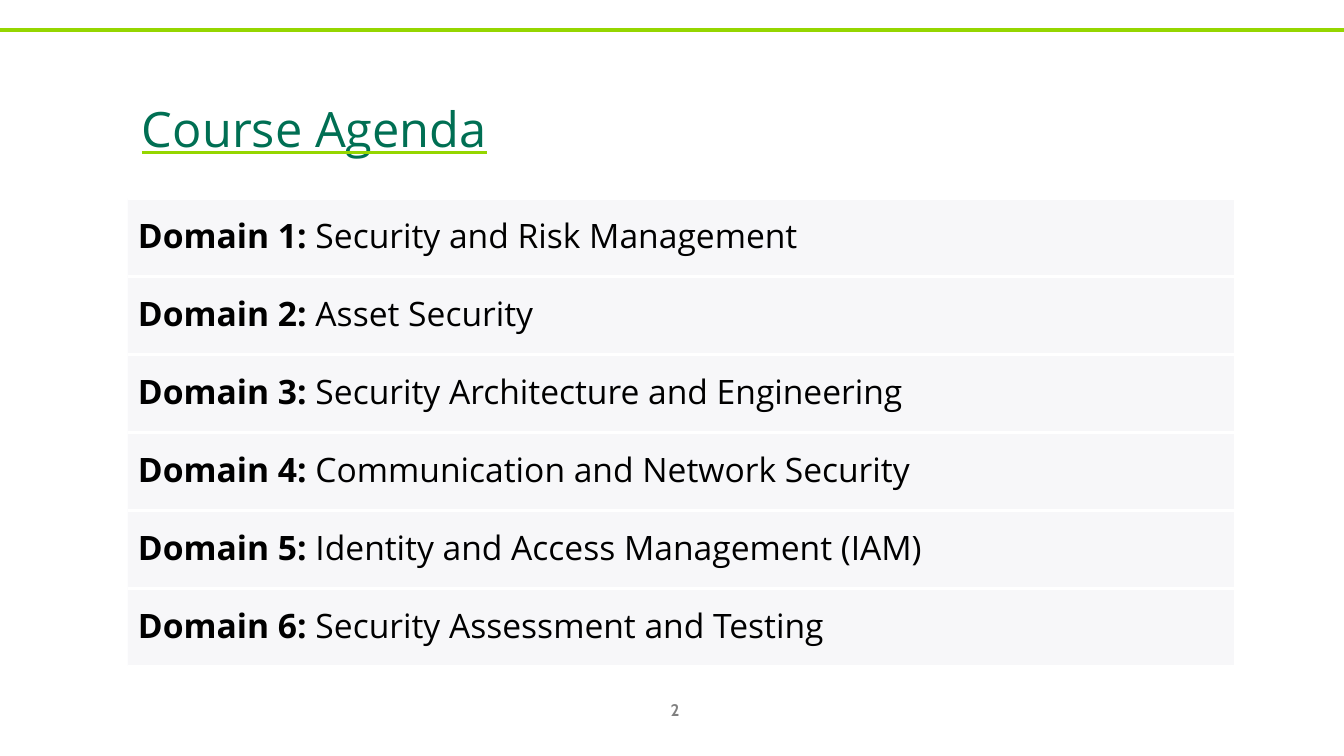
from lxml import etree
from pptx import Presentation
from pptx.dml.color import RGBColor
from pptx.enum.shapes import MSO_CONNECTOR as CONNECTOR, MSO_SHAPE as SHAPE
from pptx.enum.text import MSO_ANCHOR as ANCHOR, MSO_AUTO_SIZE as AUTO_SIZE, PP_ALIGN as ALIGN
from pptx.oxml.ns import qn
from pptx.util import Emu, Pt

WIDTH, HEIGHT = 1344, 756
LIME, GREEN, GRAY = "95D600", "006F53", "808080"
PANEL, WHITE, BLACK = "F7F7F9", "FFFFFF", "000000"
DOMAINS = [
    "Security and Risk Management",
    "Asset Security",
    "Security Architecture and Engineering",
    "Communication and Network Security",
    "Identity and Access Management (IAM)",
    "Security Assessment and Testing",
]


def px(length):
    return Emu(round(length * 914400 / 100.8))


def color(value):
    return RGBColor.from_string(value)


def add_run(paragraph, text, size, fill, bold=False, font="Open Sans"):
    run = paragraph.add_run()
    run.text = text
    run.font.name = font
    run.font.size = Pt(size)
    run.font.bold = bold
    run.font.color.rgb = color(fill)
    return run


def prepare_frame(shape, align=ALIGN.LEFT, inset=10):
    frame = shape.text_frame
    frame.word_wrap = True
    frame.auto_size = AUTO_SIZE.NONE
    frame.vertical_anchor = ANCHOR.MIDDLE
    frame.margin_left = frame.margin_right = px(10)
    frame.margin_top = frame.margin_bottom = px(inset)
    paragraph = frame.paragraphs[0]
    paragraph.alignment = align
    return paragraph


def add_rule(slide, left, top, width, fill, weight):
    rule = slide.shapes.add_connector(
        CONNECTOR.STRAIGHT, px(left), px(top), px(left + width), px(top))
    rule.line.color.rgb = color(fill)
    rule.line.width = Pt(weight)
    etree.SubElement(rule._element.spPr, qn("a:effectLst"))


def add_title(slide, left, top, width, height):
    title = slide.shapes.title
    title.left, title.top, title.width, title.height = map(px, (left, top, width, height))
    run = add_run(prepare_frame(title, inset=5), "Course Agenda", 60, GREEN)
    run.font.underline = True
    properties = run.font._element
    properties.set("baseline", "12000")
    # The underline has its own colour, placed before the font name
    underline = etree.Element(qn("a:uFill"))
    solid = etree.SubElement(underline, qn("a:solidFill"))
    etree.SubElement(solid, qn("a:srgbClr"), val=LIME)
    properties.find(qn("a:latin")).addprevious(underline)


def add_agenda(slide, left, top, width, height):
    row_height = height / len(DOMAINS)
    for index, domain in enumerate(DOMAINS):
        row_top = top + index * row_height
        row = slide.shapes.add_shape(
            SHAPE.RECTANGLE, px(left), px(row_top), px(width), px(row_height))
        row.shadow.inherit = False
        row.fill.solid()
        row.fill.fore_color.rgb = color(PANEL)
        row.line.fill.background()
        paragraph = prepare_frame(row)
        paragraph.line_spacing = 0.9
        add_run(paragraph, f"Domain {index + 1}: ", 24, BLACK, bold=True)
        add_run(paragraph, domain, 24, BLACK)
    # White separators around and between the rows
    for index in range(len(DOMAINS) + 1):
        add_rule(slide, left, top + index * row_height, width, WHITE, 2)


def add_page_number(slide, left, top, width, height):
    box = slide.shapes.add_textbox(px(left), px(top), px(width), px(height))
    add_run(prepare_frame(box, ALIGN.CENTER, inset=5), "2", 12, GRAY, bold=True, font="Cabin")


def main():
    presentation = Presentation()
    presentation.slide_width, presentation.slide_height = px(WIDTH), px(HEIGHT)
    slide = presentation.slides.add_slide(presentation.slide_layouts[5])
    add_rule(slide, 0, 30, WIDTH, LIME, 3)
    add_title(slide, 132, 61, 956, 126)
    add_agenda(slide, 128, 199, 1106, 467)
    add_page_number(slide, 644, 690, 62, 40)
    presentation.save("out.pptx")


if __name__ == "__main__":
    main()
